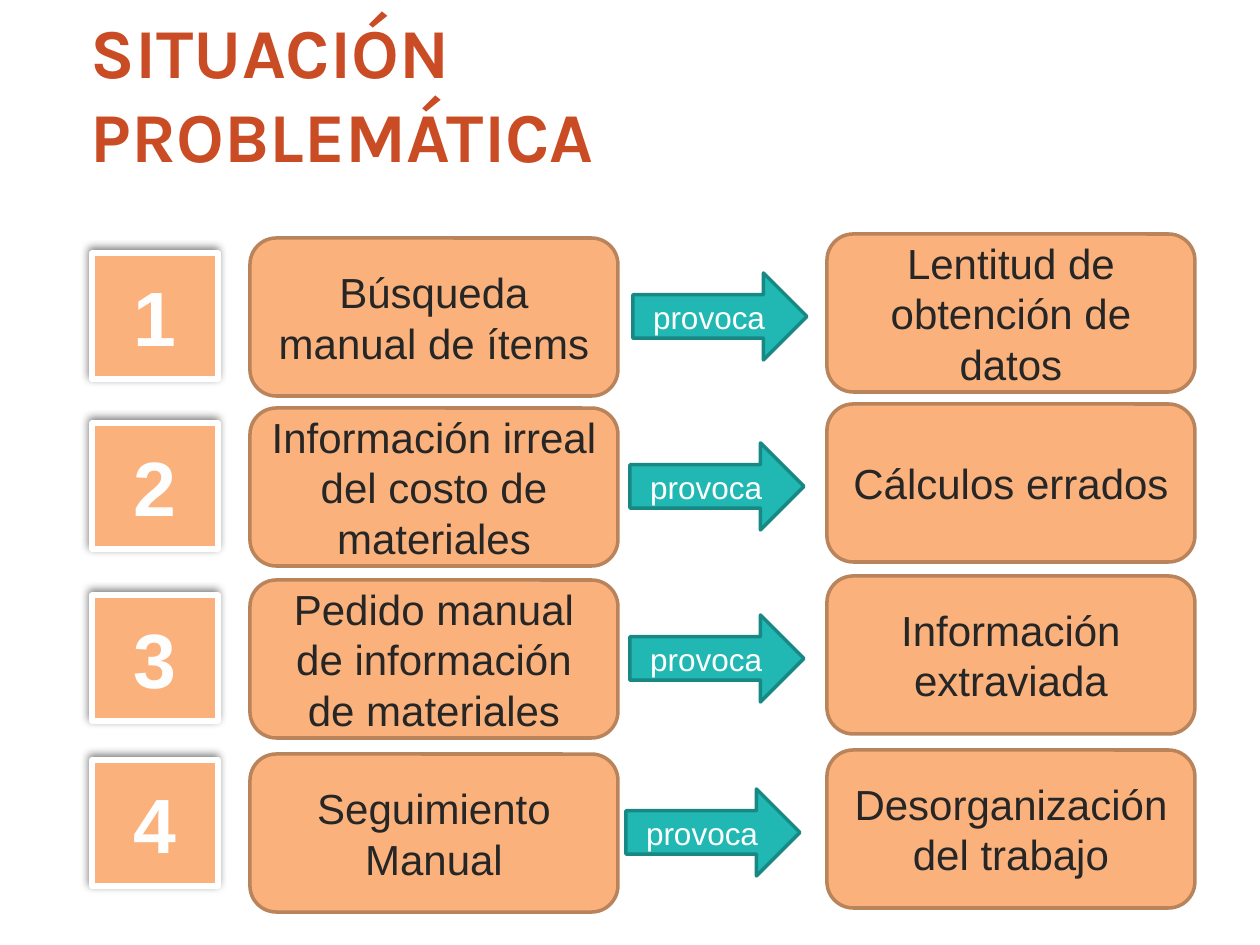
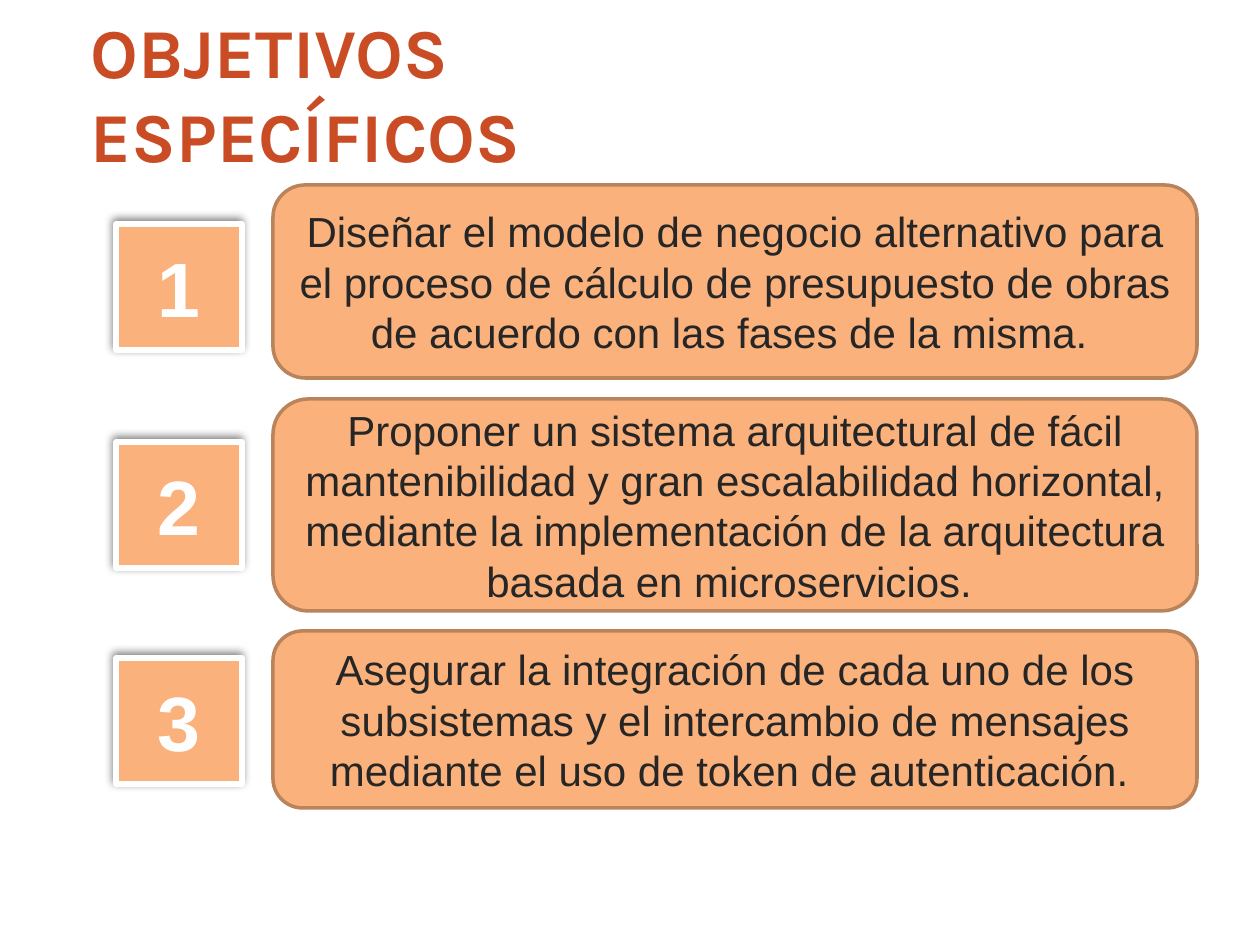
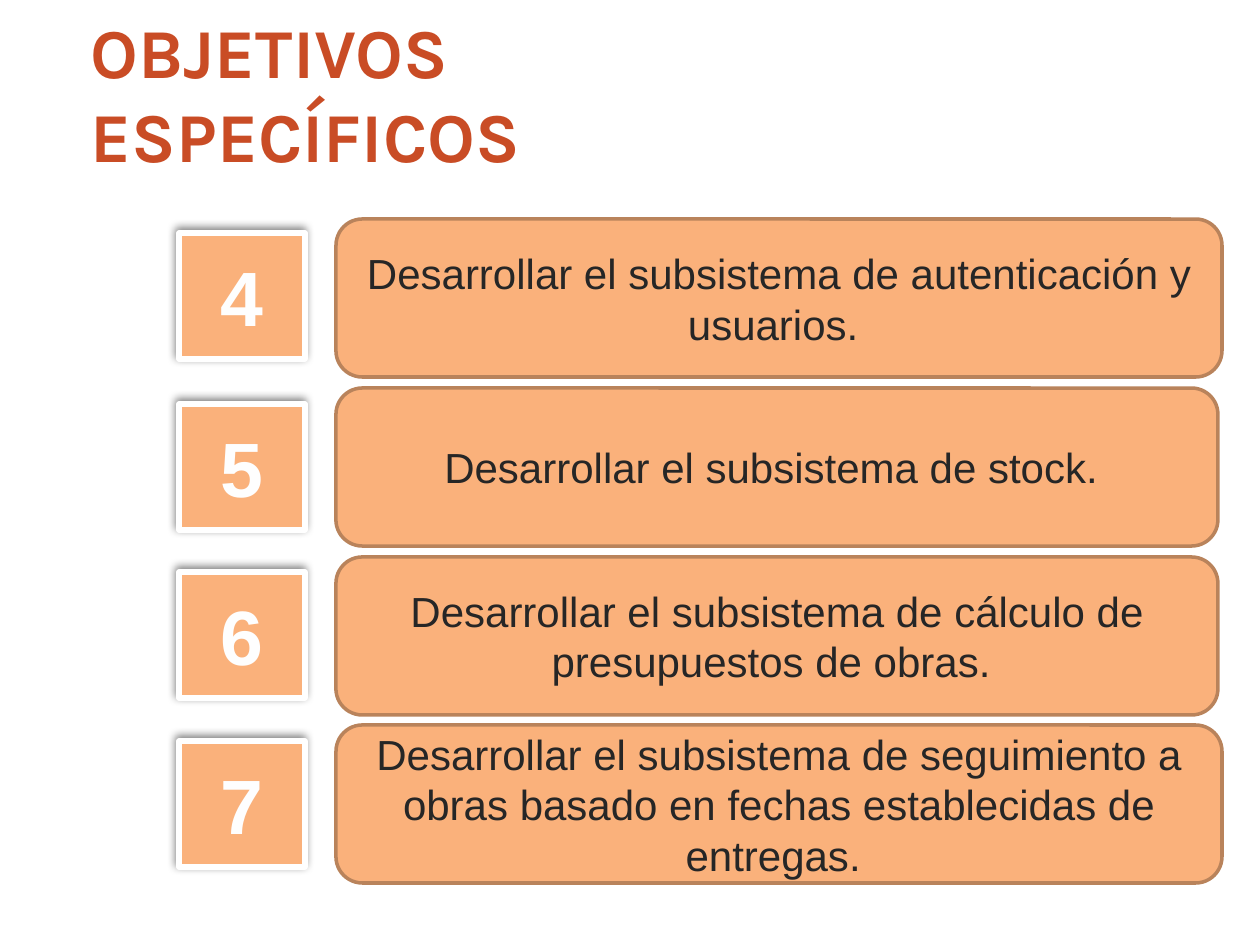
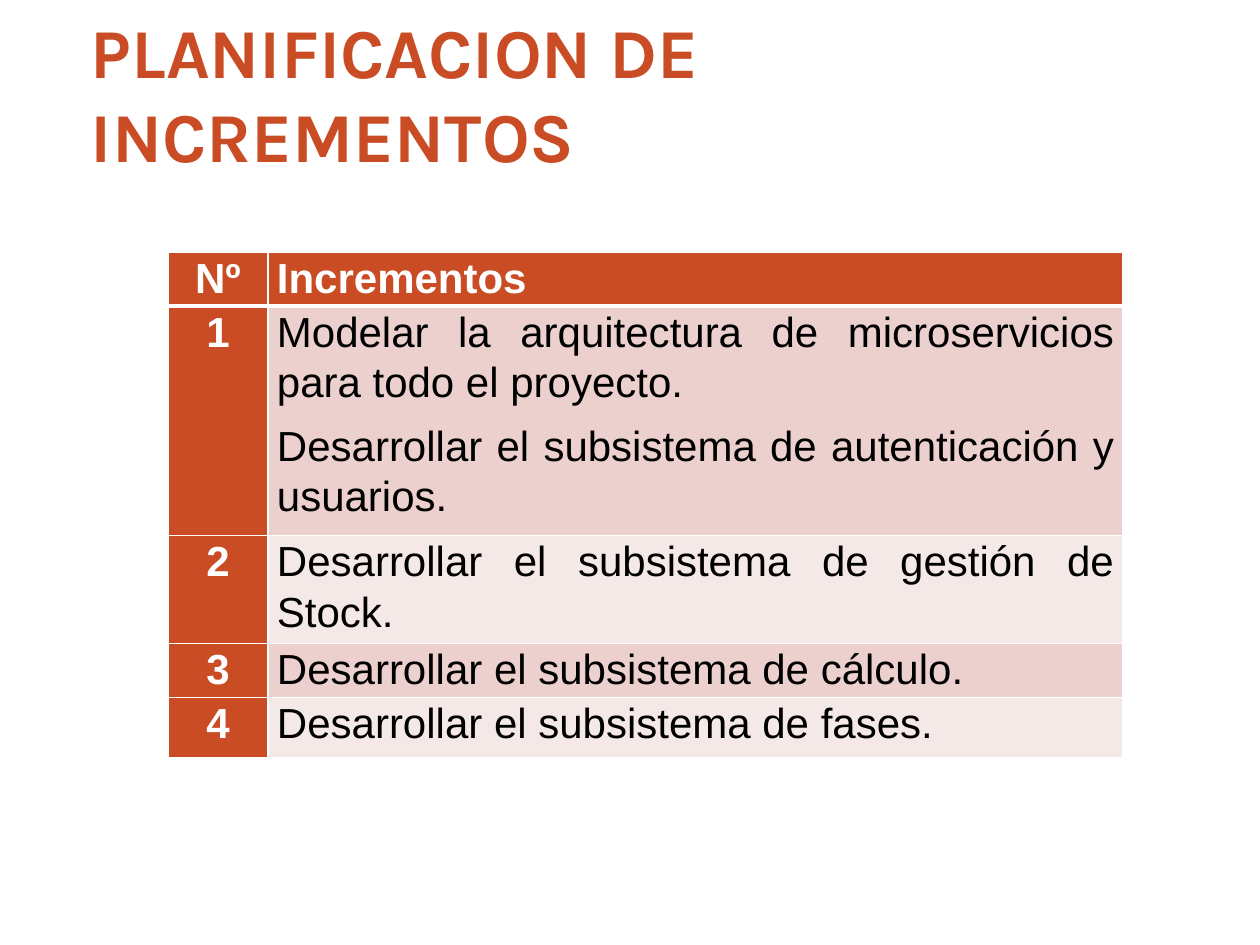
"""Build four slides on a project's problems, objectives and increments."""
from dataclasses import dataclass

from lxml import etree
from pptx import Presentation
from pptx import util as u
from pptx.dml.color import RGBColor
from pptx.enum import shapes, text
from pptx.oxml.ns import qn

EMU_PER_INCH = 914400
PX_PER_INCH = 126
ALIGN = text.PP_ALIGN


@dataclass(frozen=True)
class Theme:
    """Colours, fonts and type sizes shared by all slides."""

    accent: str = "C94C25"
    card: str = "FAB17B"
    card_line: str = "B9835B"
    arrow: str = "21B8B3"
    arrow_line: str = "188884"
    ink: str = "262626"
    white: str = "FFFFFF"
    number: str = "FEFEFE"
    black: str = "000000"
    bands: tuple = ("EBD0CD", "F5E9E8")
    title_font: str = "Karla"
    body_font: str = "Arial"
    title_size: int = 40
    number_size: int = 44
    body_size: int = 24
    arrow_size: int = 18


THEME = Theme()


def px(length):
    """Turn whole pixels into EMU."""
    return u.Emu(round(length * EMU_PER_INCH / PX_PER_INCH))


def add_run(paragraph, words, size, color, bold=False, font=THEME.body_font):
    """Add one styled run to a paragraph."""
    run = paragraph.add_run()
    run.text = words
    run.font.name = font
    run.font.size = u.Pt(size)
    run.font.bold = bold
    run.font.color.rgb = RGBColor.from_string(color)
    return run


def add_solid_fill(parent, color):
    """Append a solid fill to an XML element and return its colour node."""
    fill = etree.SubElement(parent, qn("a:solidFill"))
    return etree.SubElement(fill, qn("a:srgbClr"), val=color)


def add_title(slide, words, width=680):
    """Place the slide title."""
    box = slide.shapes.add_textbox(px(66), px(37), px(width), px(110))
    frame = box.text_frame
    frame.word_wrap = True
    frame.vertical_anchor = text.MSO_ANCHOR.MIDDLE
    frame.margin_left = frame.margin_right = 0
    paragraph = frame.paragraphs[0]
    paragraph._p.get_or_add_pPr().set("marL", str(px(25)))
    add_run(paragraph, words, THEME.title_size, THEME.accent, True, THEME.title_font)


def add_box(slide, kind, box, fill, line, line_width):
    """Draw a filled preset shape and return it with its centred paragraph."""
    shape = slide.shapes.add_shape(kind, *map(px, box))
    shape.shadow.inherit = False
    shape.fill.solid()
    shape.fill.fore_color.rgb = RGBColor.from_string(fill)
    shape.line.color.rgb = RGBColor.from_string(line)
    shape.line.width = u.Pt(line_width)
    frame = shape.text_frame
    frame.word_wrap = True
    frame.vertical_anchor = text.MSO_ANCHOR.MIDDLE
    paragraph = frame.paragraphs[0]
    paragraph.alignment = ALIGN.CENTER
    return shape, paragraph


def add_card(slide, box, words):
    """Draw a rounded card with a statement."""
    kind = shapes.MSO_SHAPE.ROUNDED_RECTANGLE
    _, paragraph = add_box(slide, kind, box, THEME.card, THEME.card_line, 2)
    add_run(paragraph, words, THEME.body_size, THEME.ink)


def add_arrow(slide, left, top):
    """Draw the arrow from a cause to its effect."""
    kind = shapes.MSO_SHAPE.RIGHT_ARROW
    box = (left, top, 174, 87)
    _, paragraph = add_box(slide, kind, box, THEME.arrow, THEME.arrow_line, 2)
    add_run(paragraph, "provoca", THEME.arrow_size, THEME.white)


def add_badge(slide, left, top, number):
    """Draw a shadowed square with an outlined number."""
    kind = shapes.MSO_SHAPE.RECTANGLE
    box = (left, top, 126, 126)
    shape, paragraph = add_box(slide, kind, box, THEME.card, THEME.white, 3)
    shadow = etree.SubElement(
        shape._element.spPr.find(qn("a:effectLst")), qn("a:outerShdw"),
        blurRad=str(u.Pt(5)), dist=str(u.Pt(2)), dir=str(245 * 60000),
        algn="ctr", rotWithShape="0")
    color = etree.SubElement(shadow, qn("a:srgbClr"), val=THEME.black)
    etree.SubElement(color, qn("a:alpha"), val="50000")

    run = add_run(paragraph, str(number), THEME.number_size, THEME.number, True)
    properties = run._r.get_or_add_rPr()
    properties.set("spc", "50")
    outline = etree.Element(qn("a:ln"), w=str(u.Pt(0.75)))
    add_solid_fill(outline, THEME.accent)
    properties.insert(0, outline)


def add_badges(slide, left, tops, first=1):
    """Draw a column of consecutively numbered badges."""
    for number, top in enumerate(tops, first):
        add_badge(slide, left, top, number)


def problem_slide(slide, title, rows, badge_tops):
    """Lay out causes, arrows and effects in numbered rows."""
    add_title(slide, title, 655)
    add_badges(slide, 92, badge_tops)
    for top, arrow_left, cause, effect in rows:
        add_card(slide, (250, top, 368, 158), cause)
        add_arrow(slide, arrow_left, top + 35)
        add_card(slide, (827, top - 4, 368, 158), effect)


def objective_slide(slide, title, left, rows, badge_left, badge_tops, first):
    """Lay out numbered objectives as wide cards."""
    add_title(slide, title)
    for top, width, height, words in rows:
        add_card(slide, (left, top, width, height), words)
    add_badges(slide, badge_left, badge_tops, first)


def set_borders(cell, bottom_width):
    """Give a cell white borders with a chosen bottom width."""
    properties = cell._tc.get_or_add_tcPr()
    widths = {"a:lnL": 1, "a:lnR": 1, "a:lnT": 1, "a:lnB": bottom_width}
    for index, (tag, width) in enumerate(widths.items()):
        line = etree.Element(qn(tag), w=str(u.Pt(width)))
        add_solid_fill(line, THEME.white)
        properties.insert(index, line)


def fill_cell(cell, paragraphs, fill, color, bold, alignment, bottom_width):
    """Style one table cell and write its paragraphs."""
    cell.fill.solid()
    cell.fill.fore_color.rgb = RGBColor.from_string(fill)
    cell.margin_left = cell.margin_right = px(9)
    cell.margin_top = cell.margin_bottom = 0
    set_borders(cell, bottom_width)
    frame = cell.text_frame
    for index, words in enumerate(paragraphs):
        paragraph = frame.add_paragraph() if index else frame.paragraphs[0]
        paragraph.alignment = alignment
        paragraph.line_spacing = 1.07
        paragraph.space_after = u.Pt(8)
        add_run(paragraph, words, THEME.body_size, color, bold)


def increment_slide(slide, title, box, column_widths, row_heights, increments):
    """Lay out the table of increments."""
    add_title(slide, title)
    rows = [("Nº", ["Incrementos"])]
    rows += [(str(number), words) for number, words in enumerate(increments, 1)]
    frame = slide.shapes.add_table(len(rows), len(column_widths), *map(px, box))
    table = frame.table
    for column, width in zip(table.columns, column_widths):
        column.width = px(width)
    for index, (number, words) in enumerate(rows):
        table.rows[index].height = px(row_heights[index])
        header = index == 0
        bottom = 3 if header else 1
        fill = THEME.accent if header else THEME.bands[(index - 1) % 2]
        color = THEME.white if header else THEME.black
        fill_cell(table.cell(index, 0), [number], THEME.accent, THEME.white,
                  True, ALIGN.CENTER, bottom)
        fill_cell(table.cell(index, 1), words, fill, color,
                  header, ALIGN.JUSTIFY, bottom)


def main():
    """Build and save the presentation."""
    presentation = Presentation()
    presentation.slide_width, presentation.slide_height = px(1260), px(945)
    blank = presentation.slide_layouts[6]

    def new_slide():
        """Add a blank slide."""
        return presentation.slides.add_slide(blank)

    problem_slide(new_slide(), "SITUACIÓN PROBLEMÁTICA", [
        (238, 633, "Búsqueda manual de ítems", "Lentitud de obtención de datos"),
        (408, 630, "Información irreal del costo de materiales", "Cálculos errados"),
        (580, 630, "Pedido manual de información de materiales",
         "Información extraviada"),
        (754, 626, "Seguimiento Manual", "Desorganización del trabajo"),
    ], (253, 423, 595, 760))

    objectives = "OBJETIVOS ESPECÍFICOS"
    objective_slide(new_slide(), objectives, 273, [
        (185, 924, 193, "Diseñar el modelo de negocio alternativo para el proceso de "
         "cálculo de presupuesto de obras de acuerdo con las fases de la misma. "),
        (399, 924, 212, "Proponer un sistema arquitectural de fácil mantenibilidad y "
         "gran escalabilidad horizontal, mediante la implementación de la "
         "arquitectura basada en microservicios. "),
        (631, 924, 177, "Asegurar la integración de cada uno de los subsistemas y el "
         "intercambio de mensajes mediante el uso de token de autenticación. "),
    ], 116, (224, 442, 658), 1)

    objective_slide(new_slide(), objectives, 336, [
        (219, 886, 158, "Desarrollar el subsistema de autenticación y usuarios. "),
        (388, 882, 158, "Desarrollar el subsistema de stock. "),
        (557, 882, 158,
         "Desarrollar el subsistema de cálculo de presupuestos de obras. "),
        (725, 886, 158, "Desarrollar el subsistema de seguimiento a obras basado en "
         "fechas establecidas de entregas. "),
    ], 179, (233, 404, 572, 741), 4)

    increment_slide(
        new_slide(), "PLANIFICACION DE INCREMENTOS", (168, 252, 955, 496),
        (100, 855), (50, 88, 57, 54, 60), [
            ["Modelar la arquitectura de microservicios para todo el proyecto.",
             "Desarrollar el subsistema de autenticación y usuarios."],
            ["Desarrollar el subsistema de gestión de Stock."],
            ["Desarrollar el subsistema de cálculo."],
            ["Desarrollar el subsistema de fases."],
        ])
    presentation.save("out.pptx")


if __name__ == "__main__":
    main()
